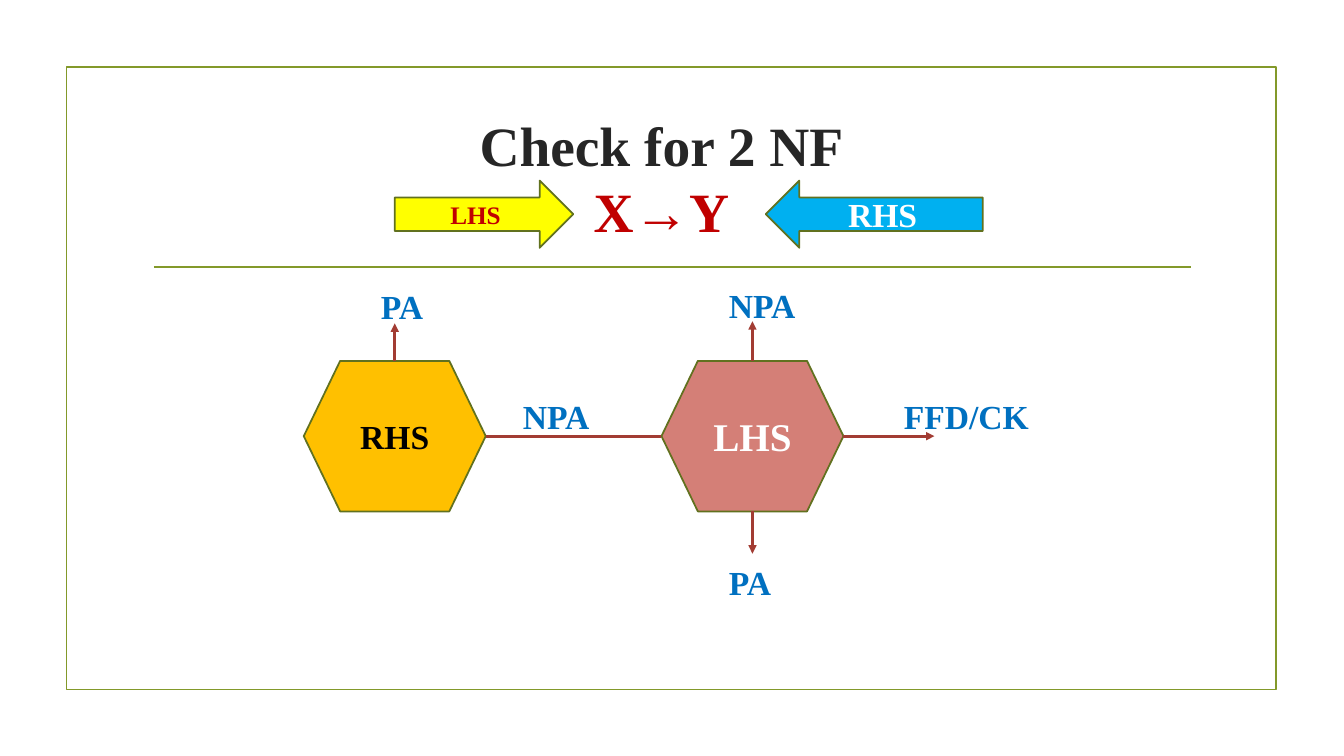
from lxml import etree
from pptx import Presentation
from pptx.dml.color import RGBColor
from pptx.enum.shapes import MSO_CONNECTOR, MSO_SHAPE as Preset
from pptx.enum.text import MSO_ANCHOR as Anchor, PP_ALIGN as Align
from pptx.oxml.ns import qn
from pptx.util import Pt

WHITE = RGBColor(0xFF, 0xFF, 0xFF)
BLACK = RGBColor(0, 0, 0)
CHARCOAL = RGBColor(0x26, 0x26, 0x26)
OLIVE = RGBColor(0x83, 0x99, 0x2A)
DARK_OLIVE = RGBColor(0x61, 0x71, 0x1F)
BRICK = RGBColor(0xA2, 0x3C, 0x33)
ROSE = RGBColor(0xD4, 0x7F, 0x77)
RED = RGBColor(0xC0, 0, 0)
AMBER = RGBColor(0xFF, 0xC0, 0)
YELLOW = RGBColor(0xFF, 0xFF, 0)
SKY = RGBColor(0, 0xB0, 0xF0)
BLUE = RGBColor(0, 0x70, 0xC0)

TOP, LEFT, BOTTOM, RIGHT = range(4)


class Page:
    font_name = "Times New Roman"

    def __init__(self, deck):
        self.slide = deck.slides.add_slide(deck.slide_layouts[6])
        self.shapes = self.slide.shapes

    def add_span(self, para, text, size, color):
        span = para.add_run()
        span.text = text
        style = {"name": self.font_name, "size": Pt(size), "bold": True}
        for name, value in style.items():
            setattr(span.font, name, value)
        span.font.color.rgb = color

    def text(self, left, top, width, height, spans, size,
             align=Align.LEFT, anchor=Anchor.TOP):
        """Add a text box with each (text, color) span on its own line."""
        box = self.shapes.add_textbox(Pt(left), Pt(top), Pt(width), Pt(height))
        frame = box.text_frame
        frame.word_wrap = True
        frame.vertical_anchor = anchor
        para = frame.paragraphs[0]
        para.alignment = align
        for index, (text, color) in enumerate(spans):
            if index:
                para.add_line_break()
            self.add_span(para, text, size, color)

    def shape(self, preset, left, top, width, height, fill=None,
              line=DARK_OLIVE, text="", size=24, color=WHITE):
        shape = self.shapes.add_shape(
            preset, Pt(left), Pt(top), Pt(width), Pt(height))
        shape.shadow.inherit = False
        if fill is None:
            shape.fill.background()
        else:
            shape.fill.solid()
            shape.fill.fore_color.rgb = fill
        shape.line.color.rgb = line
        shape.line.width = Pt(1.25)
        if text:
            frame = shape.text_frame
            frame.vertical_anchor = Anchor.MIDDLE
            frame.paragraphs[0].alignment = Align.CENTER
            self.add_span(frame.paragraphs[0], text, size, color)
        return shape

    def line(self, start, end, color=BRICK, weight=2, arrow=False):
        link = self.shapes.add_connector(
            MSO_CONNECTOR.STRAIGHT, *(Pt(value) for value in (*start, *end)))
        link.line.color.rgb = color
        link.line.width = Pt(weight)
        properties = link._element.spPr
        if arrow:
            outline = properties.find(qn("a:ln"))
            etree.SubElement(outline, qn("a:tailEnd"), type="triangle")
        etree.SubElement(properties, qn("a:effectLst"))
        return link


def main():
    deck = Presentation()
    deck.slide_width, deck.slide_height = Pt(960), Pt(540)
    page = Page(deck)

    page.shape(Preset.RECTANGLE, 47.5, 48, 864, 444.5, line=OLIVE)
    page.line((110, 190.8), (850.5, 190.8), OLIVE, 1.25)
    page.text(94.5, 75, 756, 103,
              [("Check for 2 NF", CHARCOAL), ("X→Y", RED)], 39.6,
              Align.CENTER, Anchor.MIDDLE)

    width, height, top = 130, 107.5, 257.8
    middle = top + height / 2
    rhs_left, lhs_left = 217, 472.5
    rhs_center, lhs_center = rhs_left + width / 2, lhs_left + width / 2
    rhs = page.shape(Preset.FLOWCHART_PREPARATION, rhs_left, top, width, height,
                     AMBER, text="RHS", color=BLACK)
    lhs = page.shape(Preset.FLOWCHART_PREPARATION, lhs_left, top, width, height,
                     ROSE, text="LHS", size=28)

    bridge = page.line((rhs_left + width, middle), (lhs_left, middle))
    bridge.begin_connect(rhs, RIGHT)
    bridge.end_connect(lhs, LEFT)
    for hexagon, site, start, end in (
            (lhs, RIGHT, (lhs_left + width, middle), (667.5, middle)),
            (lhs, TOP, (lhs_center, top), (lhs_center, 229.5)),
            (rhs, TOP, (rhs_center, top), (rhs_center, 231)),
            (lhs, BOTTOM, (lhs_center, top + height), (lhs_center, 395.5))):
        page.line(start, end, arrow=True).begin_connect(hexagon, site)

    for label, left, label_top, label_width in (
            ("NPA", 366.5, 279.5, 89), ("PA", 265, 201, 47),
            ("NPA", 513.5, 200, 89), ("FFD/CK", 638.5, 279.5, 120),
            ("PA", 513.5, 398, 89)):
        page.text(left, label_top, label_width, 36, [(label, BLUE)], 24)

    page.shape(Preset.RIGHT_ARROW, 282, 129, 127.5, 48, YELLOW,
               text="LHS", size=18, color=RED)
    page.shape(Preset.LEFT_ARROW, 547, 129, 155, 48, SKY, text="RHS")
    deck.save("out.pptx")


if __name__ == "__main__":
    main()
